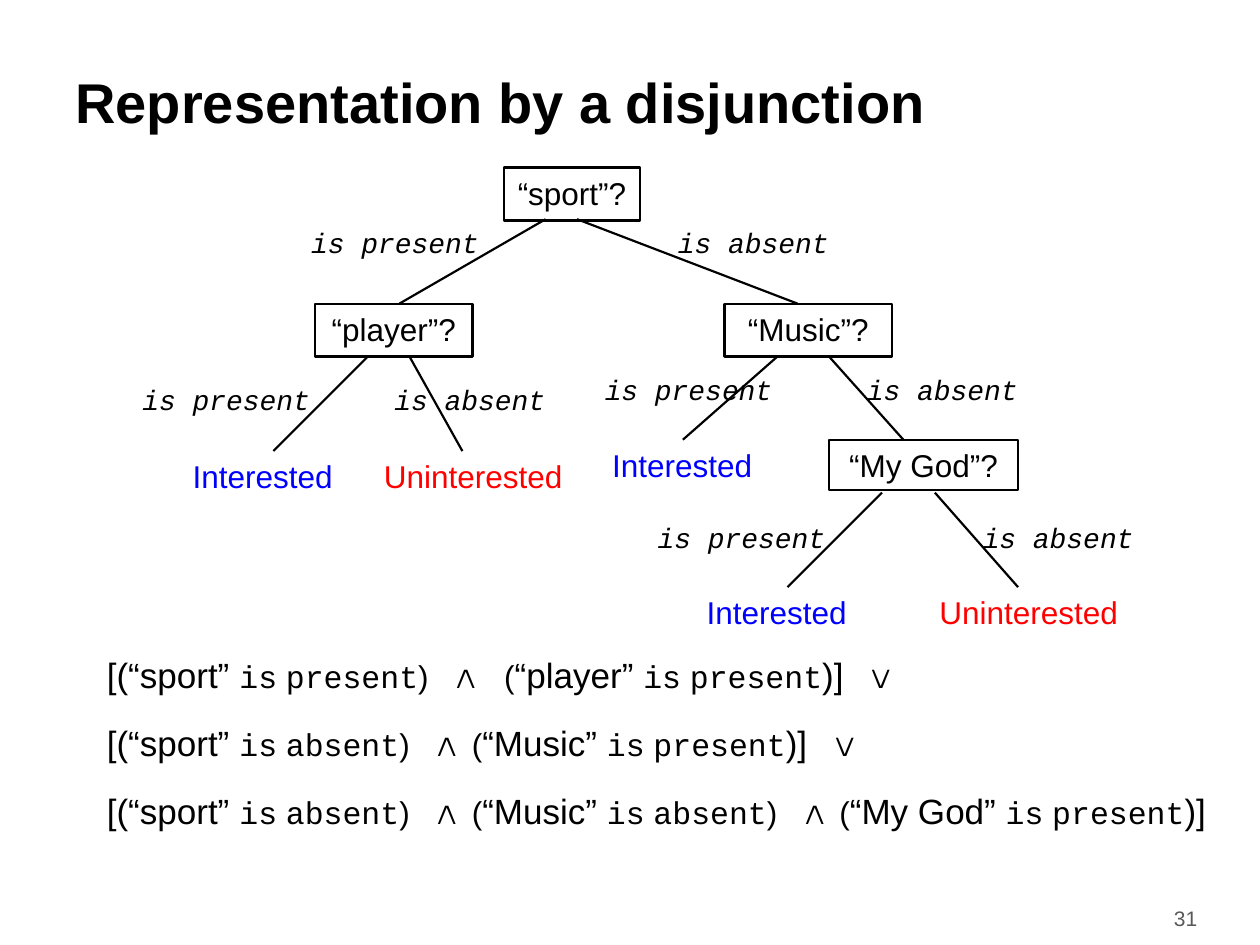
from dataclasses import dataclass

from lxml import etree
from pptx import Presentation
from pptx.dml.color import RGBColor
from pptx.enum.shapes import MSO_CONNECTOR, MSO_SHAPE
from pptx.enum.text import MSO_ANCHOR, PP_ALIGN
from pptx.oxml.ns import qn
from pptx.util import Inches, Pt

RECT = MSO_SHAPE.RECTANGLE
STRAIGHT = MSO_CONNECTOR.STRAIGHT
LEFT, CENTER, RIGHT = PP_ALIGN.LEFT, PP_ALIGN.CENTER, PP_ALIGN.RIGHT
TOP, MIDDLE = MSO_ANCHOR.TOP, MSO_ANCHOR.MIDDLE


@dataclass(frozen=True)
class Theme:
    sans: str = "Arial"
    mono: str = "Courier New"
    ink: str = "000000"
    grey: str = "595959"
    yes: str = "0000FF"
    no: str = "FF0000"
    title: int = 32
    operator: int = 24
    term: int = 20
    node: int = 18
    label: int = 16
    number: int = 12
    line: float = 1.25


@dataclass(frozen=True)
class Question:
    text: str
    left: float
    top: float
    width: float
    height: float = 0.42


@dataclass(frozen=True)
class Branch:
    start: tuple[float, float]
    end: tuple[float, float]
    answer: str
    label_at: tuple[float, float]


@dataclass(frozen=True)
class Leaf:
    interested: bool
    left: float
    top: float


THEME = Theme()

QUESTIONS = [
    Question("sport", 4, 1.33, 1.08),
    Question("player", 2.5, 2.41, 1.25),
    Question("Music", 5.75, 2.41, 1.33),
    Question("My God", 6.58, 3.49, 1.5, 0.4),
]
BRANCHES = [
    Branch((4.33, 1.74), (3.17, 2.41), "present", (2.42, 1.74)),
    Branch((4.58, 1.74), (6.33, 2.41), "absent", (5.33, 1.74)),
    Branch((2.92, 2.83), (2.17, 3.58), "present", (1.08, 2.99)),
    Branch((3.25, 2.83), (3.67, 3.58), "absent", (3.08, 2.99)),
    Branch((6.17, 2.83), (5.42, 3.49), "present", (4.75, 2.91)),
    Branch((6.58, 2.83), (7.17, 3.49), "absent", (6.83, 2.91)),
    Branch((7, 3.91), (6.25, 4.66), "present", (5.17, 4.08)),
    Branch((7.42, 3.91), (8.08, 4.66), "absent", (7.75, 4.08)),
]
LEAVES = [
    Leaf(True, 1.42, 3.58),
    Leaf(False, 2.92, 3.58),
    Leaf(True, 4.75, 3.49),
    Leaf(True, 5.5, 4.66),
    Leaf(False, 7.33, 4.66),
]
CONJUNCTIONS = [
    [("sport", "present"), ("player", "present")],
    [("sport", "absent"), ("Music", "present")],
    [("sport", "absent"), ("Music", "absent"), ("My God", "present")],
]


def add_run(p, text: str, *, size: int, font: str = THEME.sans,
            color: str = THEME.ink, bold: bool = False, italic: bool = False) -> None:
    r = p.add_run()
    r.text = text
    r.font.name = font
    r.font.size = Pt(size)
    r.font.bold = bold
    r.font.italic = italic
    r.font.color.rgb = RGBColor.from_string(color)


def set_text(sp, text: str, *, align=LEFT, anchor=TOP, inset: float = 0.1, **fmt):
    tf = sp.text_frame
    tf.word_wrap = True
    tf.vertical_anchor = anchor
    tf.margin_left = tf.margin_right = Inches(inset)
    tf.margin_top = tf.margin_bottom = Inches(0.05)
    p = tf.paragraphs[0]
    p.alignment = align
    if text:
        add_run(p, text, **fmt)
    return tf


def add_text(shapes, text: str, left: float, top: float, width: float, height: float, **fmt):
    sp = shapes.add_textbox(Inches(left), Inches(top), Inches(width), Inches(height))
    return set_text(sp, text, **fmt)


def draw_question(shapes, q: Question) -> None:
    sp = shapes.add_shape(RECT, Inches(q.left), Inches(q.top), Inches(q.width), Inches(q.height))
    sp.shadow.inherit = False
    sp.fill.background()
    sp.line.color.rgb = RGBColor.from_string(THEME.ink)
    sp.line.width = Pt(THEME.line)
    set_text(sp, f"“{q.text}”?", size=THEME.node, align=CENTER)


def draw_branch(shapes, b: Branch) -> None:
    line = shapes.add_connector(STRAIGHT, *(Inches(v) for v in b.start + b.end))
    line.line.color.rgb = RGBColor.from_string(THEME.ink)
    line.line.width = Pt(THEME.line)
    etree.SubElement(line._element.spPr, qn("a:effectLst"))
    width = 1.5 if b.answer == "present" else 1.33
    add_text(shapes, f"is {b.answer}", *b.label_at, width, 0.37, inset=0.05,
             size=THEME.label, font=THEME.mono, italic=True)


def draw_leaf(shapes, leaf: Leaf) -> None:
    text, width, color = (("Interested", 1.33, THEME.yes) if leaf.interested
                          else ("Uninterested", 1.67, THEME.no))
    add_text(shapes, text, leaf.left, leaf.top, width, 0.4,
             size=THEME.node, color=color, align=CENTER)


def add_operator(p, symbol: str) -> None:
    add_run(p, " ", size=THEME.operator, font=THEME.mono)
    add_run(p, symbol, size=THEME.operator, font=THEME.mono, bold=True)


def write_conjunction(p, terms: list[tuple[str, str]], space_font: str) -> None:
    """Write one bracketed row of terms joined by ∧."""
    for i, (word, answer) in enumerate(terms):
        if i == 0:
            add_run(p, f"[(“{word}” ", size=THEME.term)
        else:
            add_operator(p, "∧")
            add_run(p, " ", size=THEME.operator, font=space_font)
            add_run(p, "(", size=THEME.node)
            add_run(p, f"“{word}” ", size=THEME.term)
        add_run(p, "is", size=THEME.node, font=THEME.mono)
        add_run(p, " ", size=THEME.node)
        add_run(p, answer, size=THEME.node, font=THEME.mono)
        if i < len(terms) - 1:
            add_run(p, ")", size=THEME.node)
        else:
            add_run(p, ")]", size=THEME.term)


def draw_formula(shapes) -> None:
    tf = add_text(shapes, "", 0.75, 5.08, 9.17, 1.67)
    tf.margin_right = 0
    for i, terms in enumerate(CONJUNCTIONS):
        p = tf.add_paragraph() if i else tf.paragraphs[0]
        if i:
            p.space_before = Pt(10)
        write_conjunction(p, terms, THEME.sans if i else THEME.mono)
        if i < len(CONJUNCTIONS) - 1:
            add_operator(p, "∨")


def main() -> None:
    prs = Presentation()
    prs.slide_width, prs.slide_height = Inches(10), Inches(7.5)
    s = prs.slides.add_slide(prs.slide_layouts[6])
    add_text(s.shapes, "Representation by a disjunction", 0.5, 0.39, 9.25, 0.83,
             anchor=MIDDLE, size=THEME.title, bold=True)
    add_text(s.shapes, "31", 8.38, 7.09, 1.22, 0.4, anchor=MIDDLE, align=RIGHT,
             size=THEME.number, color=THEME.grey)
    tree = s.shapes.add_group_shape().shapes
    for draw, items in ((draw_branch, BRANCHES), (draw_question, QUESTIONS), (draw_leaf, LEAVES)):
        for item in items:
            draw(tree, item)
    draw_formula(s.shapes)
    prs.save("out.pptx")


if __name__ == "__main__":
    main()
